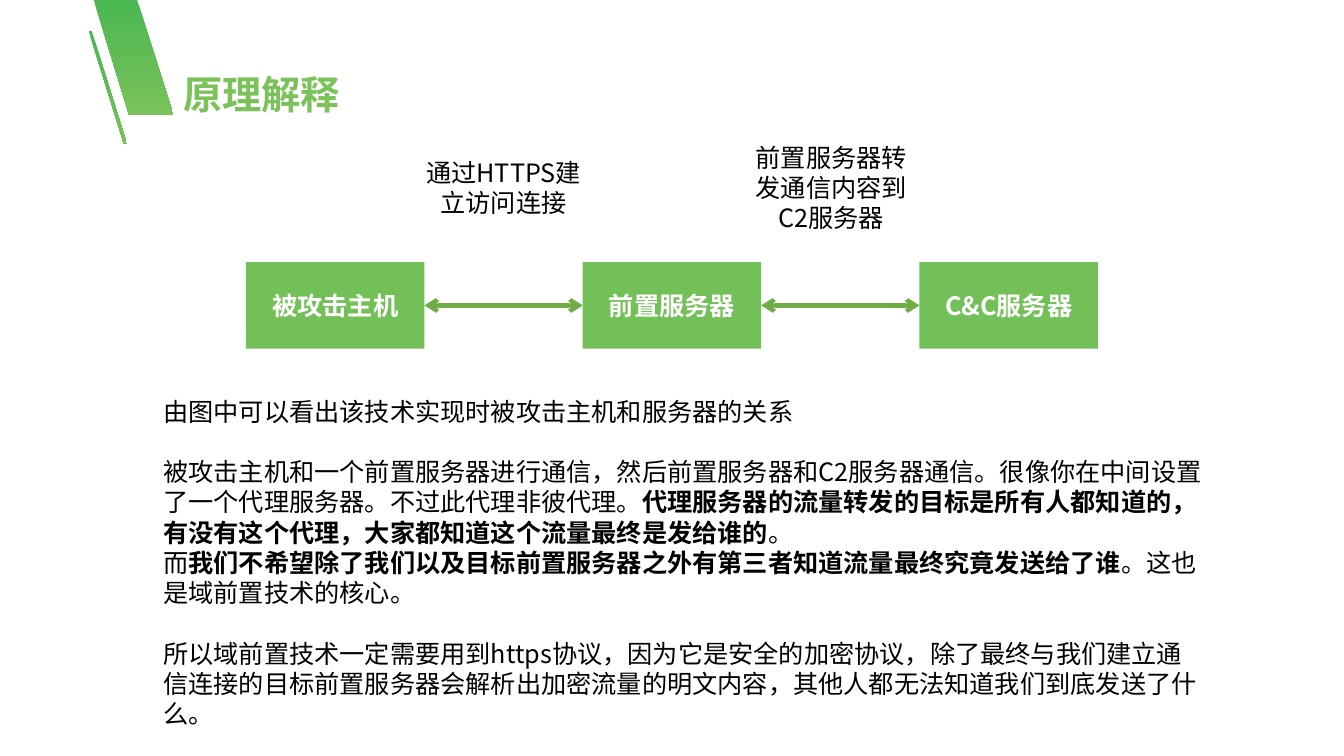
"""Build the slide that explains how domain fronting works."""
from itertools import pairwise

from lxml import etree
from pptx import Presentation
from pptx.dml.color import RGBColor
from pptx.enum.shapes import MSO_CONNECTOR, MSO_SHAPE
from pptx.enum.text import MSO_ANCHOR, MSO_AUTO_SIZE, PP_ALIGN
from pptx.oxml.ns import qn
from pptx.util import Inches, Pt

STRAIGHT = MSO_CONNECTOR.STRAIGHT
RECTANGLE = MSO_SHAPE.RECTANGLE
MIDDLE = MSO_ANCHOR.MIDDLE
FIT_SHAPE = MSO_AUTO_SIZE.SHAPE_TO_FIT_TEXT
LEFT, CENTER = PP_ALIGN.LEFT, PP_ALIGN.CENTER

BLACK = RGBColor(0x00, 0x00, 0x00)
WHITE = RGBColor(0xFF, 0xFF, 0xFF)
DEEP_GREEN = RGBColor(0x4B, 0xB7, 0x52)
LIGHT_GREEN = RGBColor(0x7A, 0xC2, 0x59)
NODE_GREEN = RGBColor(0x73, 0xC0, 0x58)
ARROW_GREEN = RGBColor(0x70, 0xAD, 0x47)

NODE_WIDTH, NODE_HEIGHT = 1.77, 0.86
NODE_LEFT, NODE_TOP, NODE_PITCH = 2.44, 2.6, 3.34
LEFT_SITE, RIGHT_SITE = 1, 3


class SlideBuilder:
    """Hold the text style and the current slide."""

    font_name = "Noto Sans CJK SC"
    body_size = 18

    def __init__(self, slide):
        self.shapes = slide.shapes

    def style(self, paragraph, color, size=None, bold=None, align=LEFT):
        paragraph.alignment = align
        font = paragraph.font
        font.size = Pt(size or self.body_size)
        font.bold = bold
        font.color.rgb = color
        font.name = self.font_name
        defaults = paragraph._p.get_or_add_pPr().find(qn("a:defRPr"))
        etree.SubElement(defaults, qn("a:ea"), typeface=self.font_name)

    def slash(self, points):
        start, *others = [(Inches(x), Inches(y)) for x, y in points]
        outline = self.shapes.build_freeform(*start)
        outline.add_line_segments(others, close=True)
        slash = outline.convert_to_shape()
        slash.shadow.inherit = False
        slash.line.fill.background()
        slash.fill.gradient()
        slash.fill.gradient_angle = 270
        for stop, color in zip(slash.fill.gradient_stops, (DEEP_GREEN, LIGHT_GREEN)):
            stop.color.rgb = color

    def text(self, box, paragraphs, wrap=True, color=BLACK, **style):
        frame = self.shapes.add_textbox(*map(Inches, box)).text_frame
        frame.word_wrap = wrap
        frame.auto_size = FIT_SHAPE
        for index, (gap, runs) in enumerate(paragraphs):
            paragraph = frame.add_paragraph() if index else frame.paragraphs[0]
            self.style(paragraph, color, **style)
            paragraph.space_before = Pt(gap)
            for wording, bold in runs:
                run = paragraph.add_run()
                run.text = wording
                if bold:
                    run.font.bold = True

    def node(self, left, label):
        node = self.shapes.add_shape(
            RECTANGLE, *map(Inches, (left, NODE_TOP, NODE_WIDTH, NODE_HEIGHT)))
        node.shadow.inherit = False
        node.fill.solid()
        node.fill.fore_color.rgb = NODE_GREEN
        node.line.fill.background()
        node.text_frame.vertical_anchor = MIDDLE
        node.text_frame.text = label
        self.style(node.text_frame.paragraphs[0], WHITE, bold=True, align=CENTER)
        return node

    def two_way_arrow(self, left_node, right_node):
        arrow = self.shapes.add_connector(STRAIGHT, 0, 0, 0, 0)
        arrow.begin_connect(right_node, LEFT_SITE)
        arrow.end_connect(left_node, RIGHT_SITE)
        arrow.line.width = Pt(3)
        arrow.line.color.rgb = ARROW_GREEN
        line = arrow.line._get_or_add_ln()
        for end in ("a:headEnd", "a:tailEnd"):
            etree.SubElement(line, qn(end), type="arrow")
        etree.SubElement(arrow._element.spPr, qn("a:effectLst"))


presentation = Presentation()
presentation.slide_width = Inches(13.33)
presentation.slide_height = Inches(7.5)
builder = SlideBuilder(presentation.slides.add_slide(presentation.slide_layouts[6]))

builder.slash([(1.72, 1.14), (1.36, 0), (0.93, 0), (1.28, 1.14)])
builder.slash([(1.26, 1.43), (0.91, 0.31), (0.88, 0.31), (1.23, 1.43)])
builder.text((1.72, 0.65, 1.77, 0.57), [(0, [("原理解释", False)])],
             wrap=False, color=LIGHT_GREEN, size=28, bold=True)

nodes = [builder.node(NODE_LEFT + index * NODE_PITCH, label)
         for index, label in enumerate(("被攻击主机", "前置服务器", "C&C服务器"))]
for left_node, right_node in pairwise(nodes):
    builder.two_way_arrow(left_node, right_node)

for left, top, height, caption in (
    (4.11, 1.51, 0.71, "通过HTTPS建立访问连接"),
    (7.36, 1.36, 1.01, "前置服务器转发通信内容到C2服务器"),
):
    builder.text((left, top, NODE_WIDTH, height), [(0, [(caption, False)])], align=CENTER)

EXPLANATION = [
    (0, [("由图中可以看出该技术实现时被攻击主机和服务器的关系", False)]),
    (21.6, [
        ("被攻击主机和一个前置服务器进行通信，然后前置服务器和C2服务器通信。"
         "很像你在中间设置了一个代理服务器。不过此代理非彼代理。", False),
        ("代理服务器的流量转发的目标是所有人都知道的，"
         "有没有这个代理，大家都知道这个流量最终是发给谁的", True),
        ("。", False),
    ]),
    (0, [
        ("而", False),
        ("我们不希望除了我们以及目标前置服务器之外有第三者知道流量最终究竟发送给了谁", True),
        ("。这也是域前置技术的核心。", False),
    ]),
    (21.6, [
        ("所以域前置技术一定需要用到https协议，因为它是安全的加密协议，"
         "除了最终与我们建立通信连接的目标前置服务器会解析出加密流量的明文内容，"
         "其他人都无法知道我们到底发送了什么。", False),
    ]),
]
builder.text((1.52, 3.88, 10.51, 3.13), EXPLANATION)

presentation.save("out.pptx")
